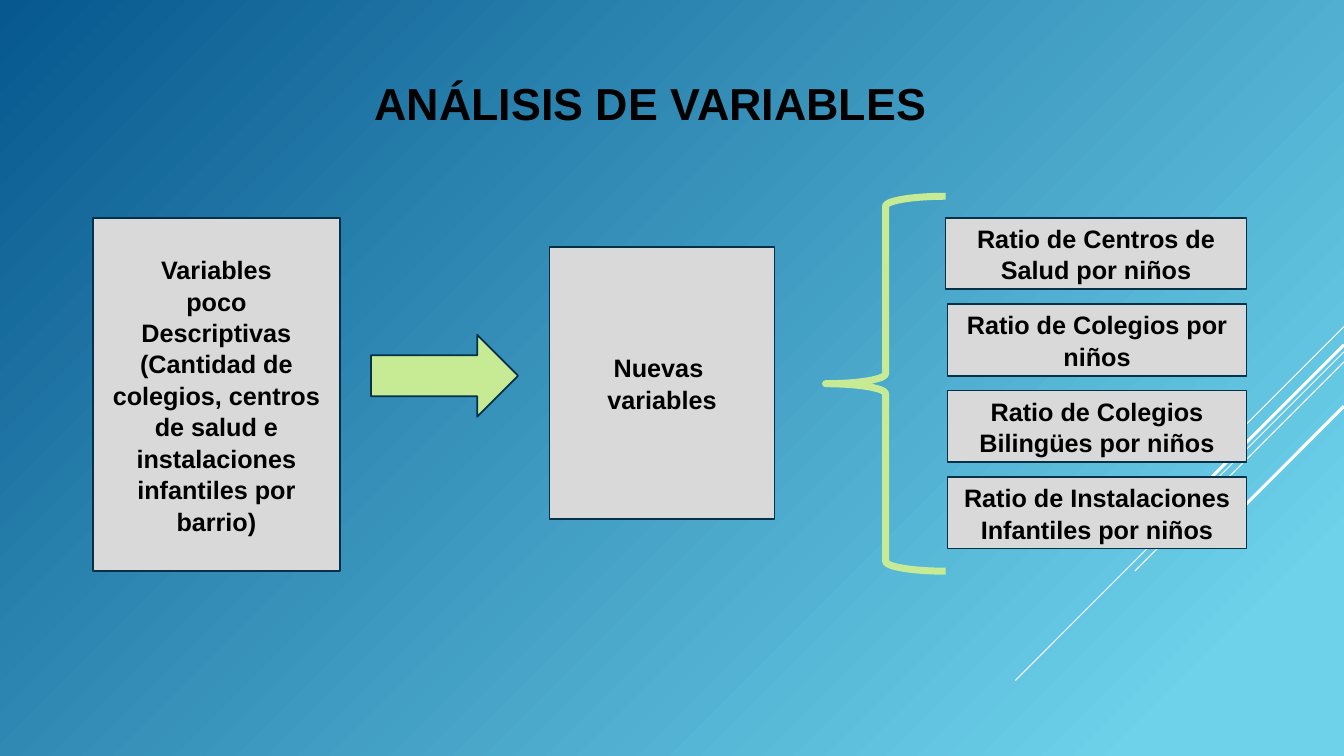
from dataclasses import dataclass

from lxml import etree
from pptx import Presentation
from pptx.dml.color import RGBColor
from pptx.enum.shapes import MSO_CONNECTOR, MSO_SHAPE
from pptx.enum.text import MSO_ANCHOR, PP_ALIGN
from pptx.oxml.ns import qn
from pptx.util import Pt

RECTANGLE = MSO_SHAPE.RECTANGLE
RIGHT_ARROW = MSO_SHAPE.RIGHT_ARROW
LEFT_BRACE = MSO_SHAPE.LEFT_BRACE
STRAIGHT = MSO_CONNECTOR.STRAIGHT
CENTER = PP_ALIGN.CENTER
MIDDLE = MSO_ANCHOR.MIDDLE
BOTTOM = MSO_ANCHOR.BOTTOM


@dataclass(frozen=True)
class Theme:
    font: str = "Arial"
    text: str = "000000"
    box: str = "D9D9D9"
    outline: str = "043148"
    accent: str = "C7EA94"
    stripe: str = "FFFFFF"
    glow: str = "6ED2EB"
    depth: str = "06588E"
    title_size: float = 32
    body_size: float = 18
    outline_width: float = 1.25
    brace_width: float = 5


THEME = Theme()
SLIDE_WIDTH, SLIDE_HEIGHT = 960, 540

STRIPES = [
    (233.3, 72, 0.75),
    (251.3, 234.7, 0.75),
    (258.5, 149.4, 0.75),
    (246.3, 137.5, 2.25),
    (290.2, 100.1, 2.25),
]
OLD_VARIABLES = [
    "Variables",
    "poco",
    "Descriptivas",
    "(Cantidad de colegios, centros de salud e instalaciones infantiles por barrio)",
]
NEW_VARIABLES = ["Nuevas ", "variables"]
RATIOS = [
    "Ratio de Centros de Salud por niños",
    "Ratio de Colegios por niños",
    "Ratio de Colegios Bilingües por niños",
    "Ratio de Instalaciones Infantiles por niños",
]
RATIO_TOP, RATIO_PITCH, RATIO_HEIGHT = 155.5, 61.7, 51.2
RATIO_RIGHT = 890.4


def points(*values):
    return [Pt(value) for value in values]


def color(code):
    return RGBColor.from_string(code)


def paint_background(slide):
    fill = slide.background.fill
    fill.gradient()
    stops = zip(fill.gradient_stops, [(0.1, THEME.glow), (1, THEME.depth)])
    for stop, (position, code) in stops:
        stop.position = position
        stop.color.rgb = color(code)
    gradient = slide.element.find(".//" + qn("a:gradFill"))
    gradient.remove(gradient.find(qn("a:lin")))
    circle = etree.Element(qn("a:path"), path="circle")
    etree.SubElement(circle, qn("a:fillToRect"), l="100000", t="100000")
    gradient.find(qn("a:gsLst")).addnext(circle)


def add_stripe(slide, top, run, width):
    ends = points(SLIDE_WIDTH, top, SLIDE_WIDTH - run, top + run)
    stripe = slide.shapes.add_connector(STRAIGHT, *ends)
    stripe.line.color.rgb = color(THEME.stripe)
    stripe.line.width = Pt(width)
    etree.SubElement(stripe.element.spPr, qn("a:effectLst"))


def write_text(frame, lines, size=THEME.body_size, anchor=MIDDLE, spacing=1.04):
    frame.word_wrap = True
    frame.vertical_anchor = anchor
    for index, line in enumerate(lines):
        paragraph = frame.add_paragraph() if index else frame.paragraphs[0]
        paragraph.alignment = CENTER
        paragraph.line_spacing = spacing
        run = paragraph.add_run()
        run.text = line
        run.font.name = THEME.font
        run.font.size = Pt(size)
        run.font.bold = True
        run.font.color.rgb = color(THEME.text)


def add_figure(slide, preset, bounds, fill=None, line=THEME.outline,
               width=THEME.outline_width):
    figure = slide.shapes.add_shape(preset, *points(*bounds))
    figure.shadow.inherit = False
    if fill:
        figure.fill.solid()
        figure.fill.fore_color.rgb = color(fill)
    else:
        figure.fill.background()
    figure.line.color.rgb = color(line)
    figure.line.width = Pt(width)
    return figure


def add_box(slide, bounds, lines):
    box = add_figure(slide, RECTANGLE, bounds, THEME.box)
    write_text(box.text_frame, lines)


def add_title(slide, text):
    title = slide.shapes.add_textbox(*points(128.9, 41, 671.8, 54.7))
    write_text(title.text_frame, [text], size=THEME.title_size, anchor=BOTTOM, spacing=1)


def add_ratios(slide):
    for index, ratio in enumerate(RATIOS):
        left = 676.8 if index else 675.4
        top = RATIO_TOP + index * RATIO_PITCH
        add_box(slide, (left, top, RATIO_RIGHT - left, RATIO_HEIGHT), [ratio])


def main():
    deck = Presentation()
    deck.slide_width, deck.slide_height = points(SLIDE_WIDTH, SLIDE_HEIGHT)
    slide = deck.slides.add_slide(deck.slide_layouts[6])
    paint_background(slide)
    for stripe in STRIPES:
        add_stripe(slide, *stripe)
    add_title(slide, "ANÁLISIS DE VARIABLES")
    add_box(slide, (66.4, 155.9, 176.4, 252), OLD_VARIABLES)
    add_figure(slide, RIGHT_ARROW, (265, 239.2, 105.1, 58.5), THEME.accent)
    add_box(slide, (392.6, 176.4, 160.6, 194.4), NEW_VARIABLES)
    add_figure(slide, LEFT_BRACE, (589.7, 140.2, 85.7, 267.8),
               line=THEME.accent, width=THEME.brace_width)
    add_ratios(slide)
    deck.save("out.pptx")


if __name__ == "__main__":
    main()
